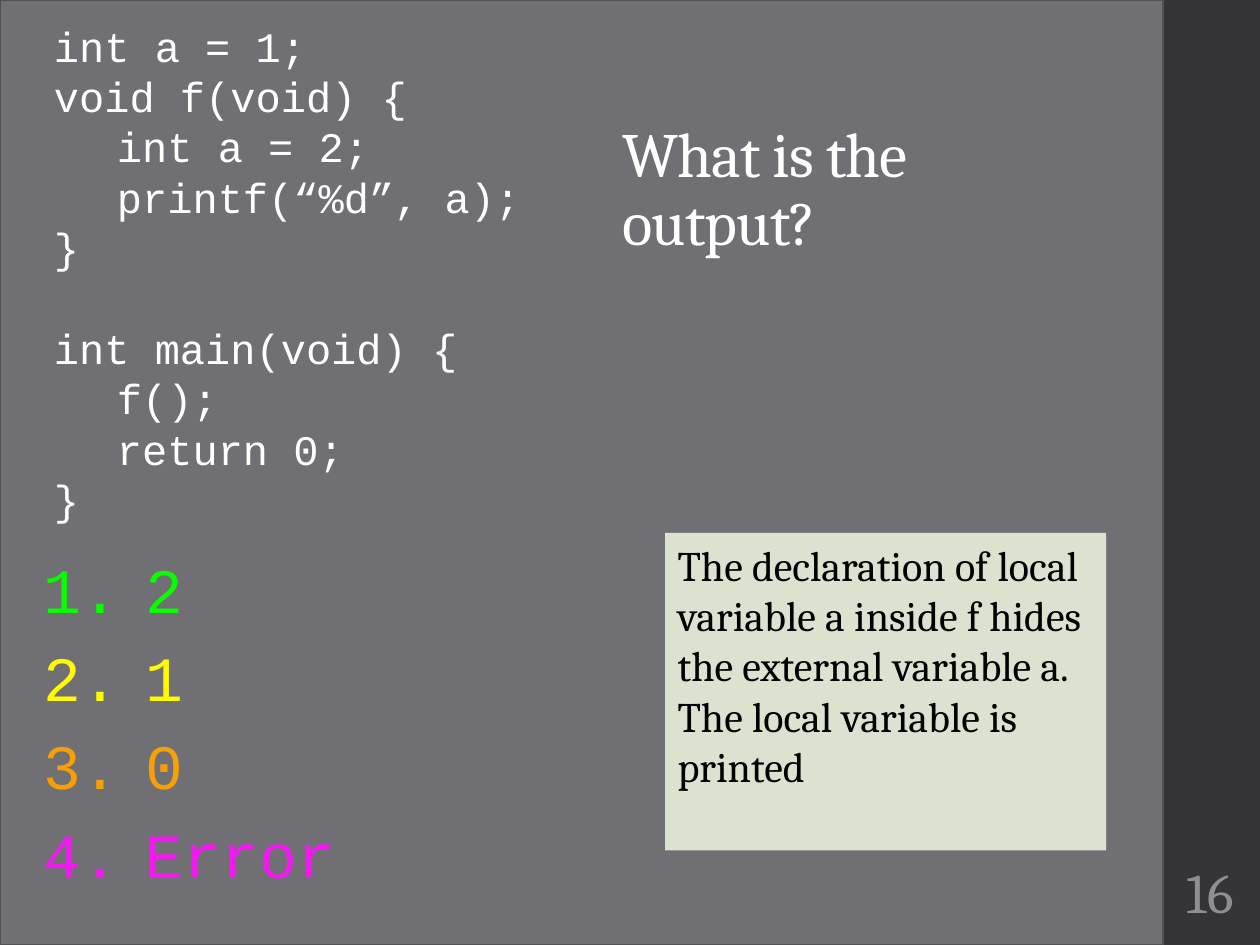
from pptx import Presentation
from pptx.dml.color import RGBColor
from pptx.enum.shapes import MSO_SHAPE as SHAPE
from pptx.enum.text import MSO_ANCHOR as ANCHOR, MSO_AUTO_SIZE as FIT, PP_ALIGN as ALIGN
from pptx.util import Pt
from lxml import etree

NS = "{http://schemas.openxmlformats.org/drawingml/2006/main}"


def hue(code):
    return RGBColor.from_string(code)


def write(frame, text, first=False, font="Cambria", size=24, color="FFFFFF",
          align=ALIGN.LEFT, left=0, hang=0, before=0, number=False):
    para = frame.paragraphs[0] if first else frame.add_paragraph()
    para.alignment = align
    para.space_before = Pt(before)
    run = para.add_run()
    run.text = text
    run.font.name, run.font.size = font, Pt(size)
    run.font.color.rgb = hue(color)
    props = para._p.get_or_add_pPr()
    props.set("marL", str(Pt(left)))
    props.set("indent", str(Pt(-hang)))
    if number:
        etree.SubElement(props, NS + "buFont", typeface="+mj-lt")
        etree.SubElement(props, NS + "buAutoNum", type="arabicPeriod")
    return para


deck = Presentation()
deck.slide_width, deck.slide_height = Pt(720), Pt(540)
slide = deck.slides.add_slide(deck.slide_layouts[5])
shapes = slide.shapes
title = shapes.title

# Side band, main panel and note box
rects = []
for x, y, w, h, fill, line in [
    (663.12, 0, 57.6, 540, "353537", None),
    (0, 0, 664.56, 540, "6F6F74", "525256"),
    (380.16, 304.56, 252, 181.44, "DCE2D0", None),
]:
    rect = shapes.add_shape(SHAPE.RECTANGLE, Pt(x), Pt(y), Pt(w), Pt(h))
    rect.shadow.inherit = False
    rect.fill.solid()
    rect.fill.fore_color.rgb = hue(fill)
    if line:
        rect.line.color.rgb = hue(line)
        rect.line.width = Pt(1.1)
    else:
        rect.line.fill.background()
    rects.append(rect)

# Title, lifted above the panel
title.element.getparent().append(title.element)
title.left, title.top, title.width, title.height = Pt(348.48), Pt(10.8), Pt(282.24), Pt(141.12)
head = title.text_frame
head.auto_size = FIT.NONE
head.word_wrap = True
head.vertical_anchor = ANCHOR.BOTTOM
para = write(head, "What is the output?", first=True, size=36)
para.line_spacing = 0.9
para.runs[0].font._element.set("spc", "-50")

# Text boxes: page number, answers, code
frames = []
for x, y, w, h in [
    (664.56, 486, 54, 46.8),
    (18, 311.04, 660.96, 216.72),
    (23.76, 7.92, 290.88, 298.08),
]:
    frame = shapes.add_textbox(Pt(x), Pt(y), Pt(w), Pt(h)).text_frame
    frame.word_wrap = True
    frames.append(frame)
page, answers, code = frames

page.vertical_anchor = ANCHOR.MIDDLE
page.margin_left = page.margin_right = Pt(2.16)
write(page, "16", first=True, size=32, color="8E8E94", align=ALIGN.CENTER)

# Numbered answers
for i, (text, color) in enumerate([
    ("2", "0CFA02"), ("1", "FEFB01"), ("0", "F5A007"), ("Error", "F21AF1"),
]):
    write(answers, text, first=i == 0, font="Courier New", size=36, color=color,
          left=58.32, hang=58.32, before=7.2, number=True)

# Code: each line with its indent level and the gap above it
for i, (text, level, gap) in enumerate([
    ("int a = 1;", 0, 0),
    ("void f(void) {", 0, 0),
    ("int a = 2;", 1, 0),
    ("printf(“%d”, a);", 1, 0),
    ("}", 0, 0),
    ("int main(void) {", 0, 28.8),
    ("f();", 1, 0),
    ("return 0;", 1, 0),
    ("}", 0, 0),
]):
    write(code, text, first=i == 0, font="Courier New", left=36 * level, before=gap)

# Explanation
note = rects[-1].text_frame
note.word_wrap = True
note.vertical_anchor = ANCHOR.TOP
for i, text in enumerate([
    "The declaration of local variable a inside f hides the external variable a.",
    "The local variable is printed",
]):
    write(note, text, first=i == 0, color="000000")

deck.save("out.pptx")
